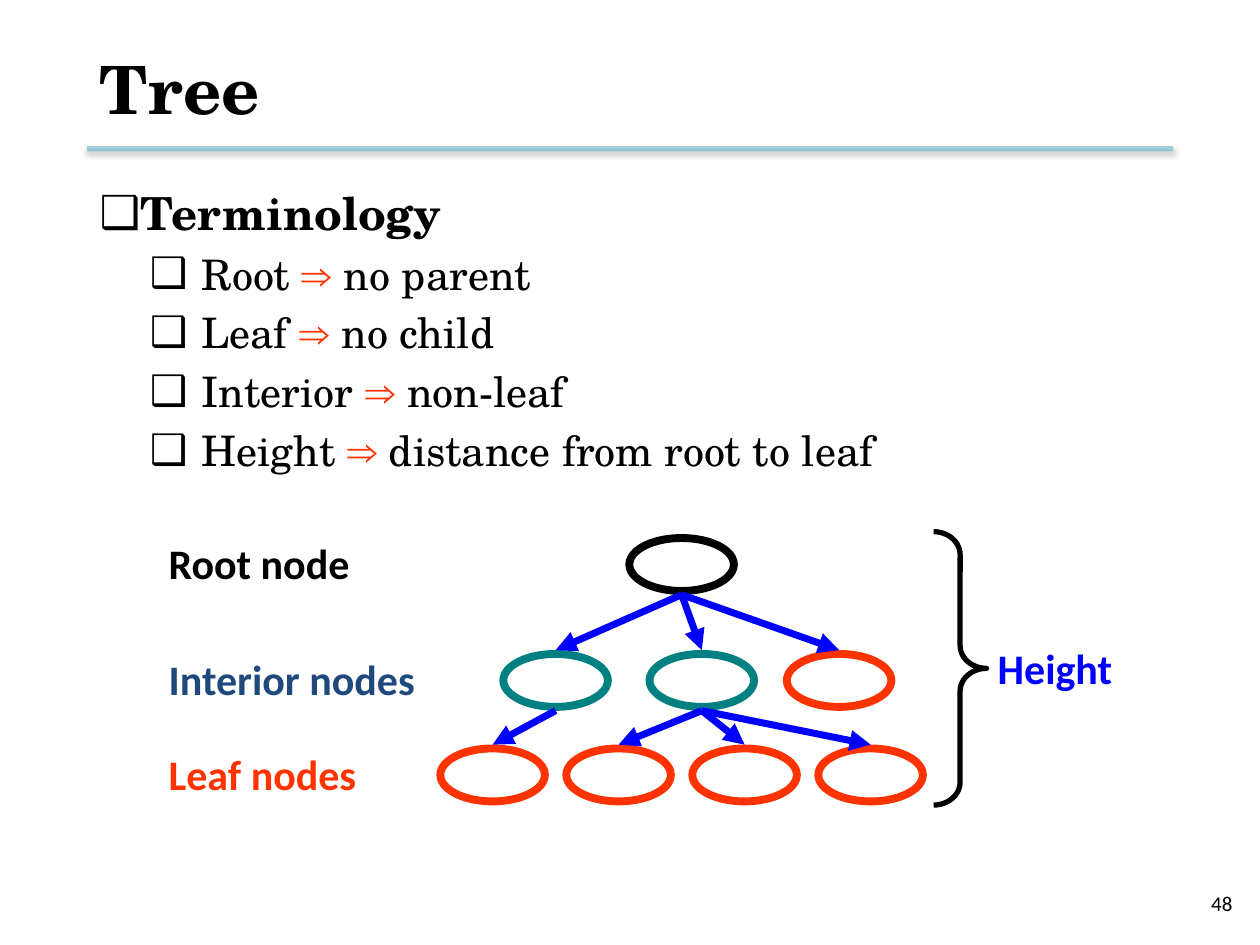
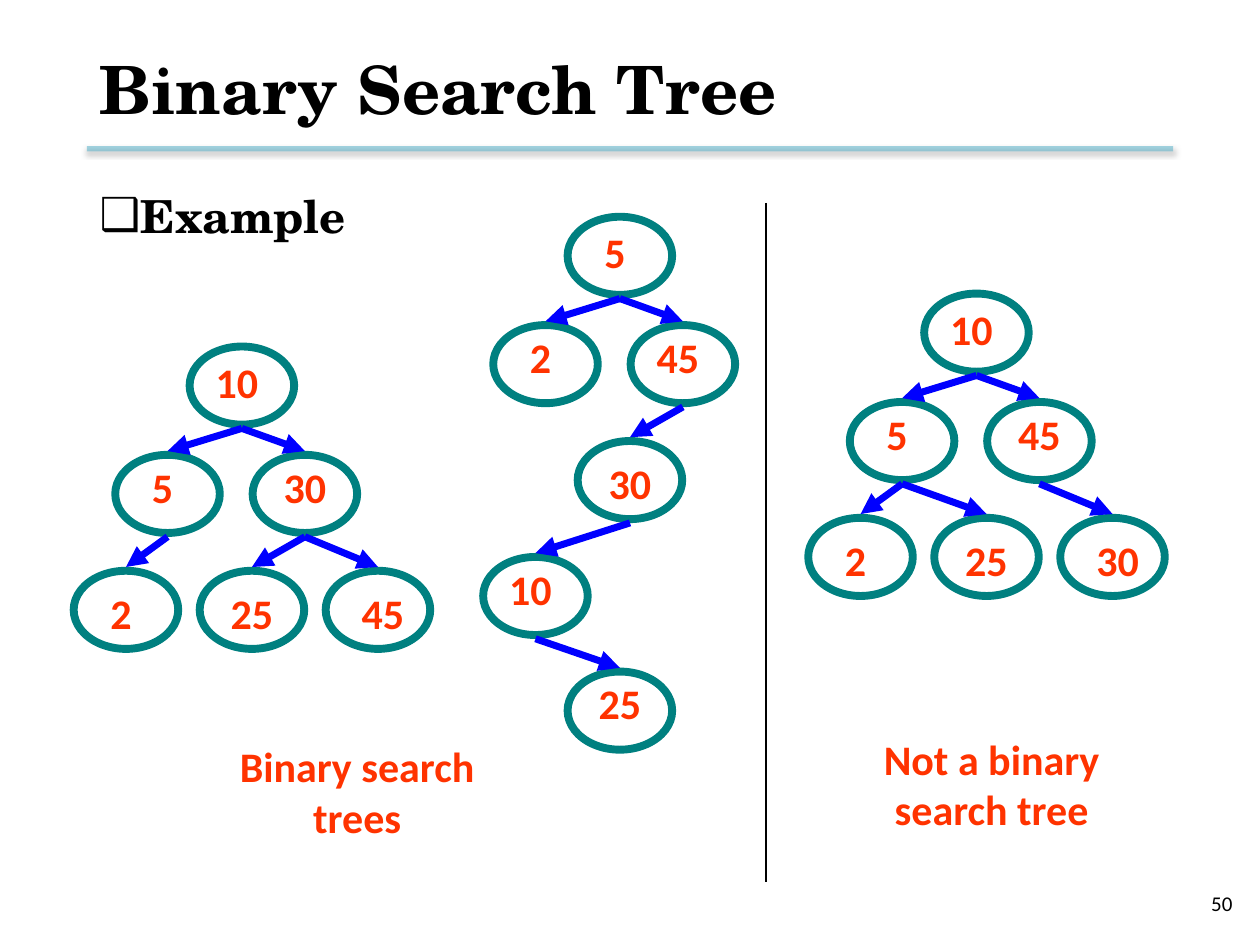
from lxml import etree
from pptx import Presentation
from pptx.dml.color import RGBColor
from pptx.enum.shapes import MSO_CONNECTOR, MSO_SHAPE
from pptx.enum.text import MSO_ANCHOR, MSO_AUTO_SIZE, PP_ALIGN
from pptx.oxml.ns import qn
from pptx.util import Inches, Pt

BLACK = RGBColor(0x00, 0x00, 0x00)
AQUA = RGBColor(0x4B, 0xAC, 0xC6)
TEAL = RGBColor(0x00, 0x80, 0x80)
ORANGE = RGBColor(0xFF, 0x33, 0x00)
BLUE = RGBColor(0x00, 0x00, 0xFF)
NAVY = RGBColor(0x1F, 0x49, 0x7D)

SERIF = "TeX Gyre Schola"
SANS = "Calibri"
LEFT, WIDTH = 0.69, 8.62
NODE_W = 0.83
ARROW_GAP = 0.03

# Node centre x, top, and the offset of its label
THREE_LEVELS = [(1.92, 2.75, -0.04, 0.03),
                (1.33, 3.61, -0.04, 0), (2.42, 3.61, 0, 0),
                (1, 4.53, -0.04, 0.08), (2, 4.53, 0, 0.08), (3, 4.53, 0.04, 0.08)]
ZIGZAG = [(4.92, 1.72, -0.04, 0.03),
          (4.33, 2.58, -0.04, 0), (5.42, 2.58, -0.04, 0),
          (5, 3.5, 0, 0.08), (4.25, 4.42, -0.04, 0), (4.92, 5.33, 0, 0)]


def add_child(parent, tag, **attrs):
    child = etree.SubElement(parent, qn(tag))
    for name, value in attrs.items():
        child.set(name, str(value))
    return child


class Deck:
    def __init__(self):
        self.prs = Presentation()
        self.prs.slide_width, self.prs.slide_height = Inches(10), Inches(7.5)
        self.s = None

    def slide(self, title, number):
        """Start a slide with its rule, number and title."""
        self.s = self.prs.slides.add_slide(self.prs.slide_layouts[1])
        self.rule()
        self.text(str(number), 7.55, 6.97, 2.33, 0.4, BLACK, size=12,
                  bold=False, align=PP_ALIGN.RIGHT, anchor=MSO_ANCHOR.MIDDLE)
        sp = self.s.shapes.title
        self.place(sp, LEFT, 0.17, WIDTH, 1.06)
        tf = sp.text_frame
        tf.vertical_anchor = MSO_ANCHOR.MIDDLE
        tf.auto_size = MSO_AUTO_SIZE.NONE
        p = tf.paragraphs[0]
        p.alignment = PP_ALIGN.LEFT
        self.run(p, title, SERIF, 38, BLACK, True)

    def place(self, sp, x, y, w, h):
        sp.left, sp.top, sp.width, sp.height = map(Inches, (x, y, w, h))

    def run(self, p, text, font, size, color, bold):
        r = p.add_run()
        r.text = text
        r.font.name, r.font.size, r.font.bold = font, Pt(size), bold
        r.font.color.rgb = color

    def bullet(self, p, margin, indent):
        pPr = p._p.get_or_add_pPr()
        pPr.set("marL", str(Inches(margin)))
        pPr.set("indent", str(Inches(indent)))
        add_child(pPr, "a:buChar", char="❑")

    def body(self, y, heading, terms=()):
        """Fill the body with a heading and its (term, meaning) pairs."""
        sp = self.s.placeholders[1]
        self.place(sp, LEFT, y, WIDTH, 4.97)
        tf = sp.text_frame
        tf.auto_size = MSO_AUTO_SIZE.NONE
        p = tf.paragraphs[0]
        self.bullet(p, 0.25, -0.45)
        p.space_before = Pt(0)
        self.run(p, heading, SERIF, 26, BLACK, True)
        for term, meaning in terms:
            p = tf.add_paragraph()
            p.level = 1
            self.bullet(p, 0.81, -0.41)
            for text, color in ((term + " ", BLACK), ("⇒ ", ORANGE), (meaning, BLACK)):
                self.run(p, text, SERIF, 24, color, False)

    def text(self, text, x, y, w, h, color, size=24, bold=True,
             align=PP_ALIGN.LEFT, anchor=MSO_ANCHOR.TOP):
        sp = self.s.shapes.add_textbox(*map(Inches, (x, y, w, h)))
        tf = sp.text_frame
        tf.word_wrap = True
        tf.vertical_anchor = anchor
        p = tf.paragraphs[0]
        p.alignment = align
        self.run(p, text, SANS, size, color, bold)

    def outline(self, kind, x, y, w, h, color, weight):
        sp = self.s.shapes.add_shape(kind, *map(Inches, (x, y, w, h)))
        sp.shadow.inherit = False
        sp.fill.background()
        sp.line.color.rgb = color
        sp.line.width = Pt(weight)
        return sp

    def line(self, x1, y1, x2, y2, color, weight, arrow=False):
        """Draw a line and return it with its empty effect list."""
        c = self.s.shapes.add_connector(
            MSO_CONNECTOR.STRAIGHT, *map(Inches, (x1, y1, x2, y2)))
        c.line.color.rgb = color
        c.line.width = Pt(weight)
        if arrow:
            add_child(c.line._get_or_add_ln(), "a:tailEnd", type="triangle")
        return c, add_child(c._element.spPr, "a:effectLst")

    def rule(self):
        """Draw the half-transparent title rule with its soft shadow."""
        c, effects = self.line(LEFT, 1.18, LEFT + WIDTH, 1.18, AQUA, 3)
        add_child(c._element.spPr.find(".//" + qn("a:srgbClr")), "a:alpha", val=50000)
        shadow = add_child(effects, "a:outerShdw", blurRad=Pt(3.1), dist=Pt(1.6),
                           dir=5400000, rotWithShape=0)
        black = add_child(shadow, "a:srgbClr", val=BLACK)
        add_child(black, "a:alpha", val=38000)

    def tree(self, nodes, edges, node_h):
        """Draw (centre x, top, colour) nodes and arrows between their indices."""
        for cx, top, color in nodes:
            self.outline(MSO_SHAPE.OVAL, cx - NODE_W / 2, top, NODE_W, node_h, color, 4.5)
        for parent, child in edges:
            x1, y1, _ = nodes[parent]
            x2, y2, _ = nodes[child]
            self.line(x1, y1 + node_h + ARROW_GAP, x2, y2 - ARROW_GAP, BLUE, 4, arrow=True)

    def search_tree(self, spots, keys, edges, dx=0, dy=0):
        nodes = [(x + dx, y + dy, TEAL) for x, y, _, _ in spots]
        self.tree(nodes, edges, 0.62)
        for (cx, top, _), (_, _, off_x, off_y), key in zip(nodes, spots, keys):
            w = 0.42 if key < 10 else 0.67
            self.text(str(key), cx + off_x - w / 2, top + off_y, w, 0.5, ORANGE,
                      align=PP_ALIGN.CENTER)


def terminology_slide(deck):
    deck.slide("Tree", 48)
    deck.body(1.42, "Terminology", [
        ("Root", "no parent"), ("Leaf", "no child"), ("Interior", "non-leaf"),
        ("Height", "distance from root to leaf")])
    root, interior, leaf = 4.27, 5.19, 5.94
    nodes = [(5.41, root, BLACK),
             (4.41, interior, TEAL), (5.57, interior, TEAL), (6.66, interior, ORANGE)]
    nodes += [(3.91 + i, leaf, ORANGE) for i in range(4)]
    edges = [(0, 1), (0, 2), (0, 3), (1, 4), (2, 5), (2, 6), (2, 7)]
    deck.tree(nodes, edges, 0.42)
    for label, top, w, color in (("Root node", root, 1.85, BLACK),
                                 ("Interior nodes", interior, 2.42, NAVY),
                                 ("Leaf nodes", leaf, 1.96, ORANGE)):
        deck.text(label, 1.24, top - 0.05, w, 0.5, color)
    brace = deck.outline(MSO_SHAPE.RIGHT_BRACE, 7.41, 4.22, 0.42, 2.17, BLACK, 3)
    brace.adjustments[0] = 0.433
    deck.text("Height", 7.82, 5.05, 1.24, 0.5, BLUE)


def search_tree_slide(deck):
    deck.slide("Binary Search Tree", 50)
    deck.body(1.44, "Example")
    top_edges = [(0, 1), (0, 2)]
    deck.search_tree(THREE_LEVELS, [10, 5, 30, 2, 25, 45],
                     top_edges + [(1, 3), (2, 4), (2, 5)])
    deck.search_tree(THREE_LEVELS, [10, 5, 45, 2, 25, 30],
                     top_edges + [(1, 3), (1, 4), (2, 5)], dx=5.83, dy=-0.42)
    deck.search_tree(ZIGZAG, [5, 2, 45, 30, 10, 25],
                     top_edges + [(2, 3), (3, 4), (4, 5)])
    deck.line(6.08, 1.61, 6.08, 7, BLACK, 1)
    deck.text("Binary search trees", 1.67, 5.83, 2.33, 0.9, ORANGE, align=PP_ALIGN.CENTER)
    deck.text("Not a binary search tree", 6.58, 5.77, 2.58, 0.9, ORANGE,
              align=PP_ALIGN.CENTER)


def main():
    deck = Deck()
    terminology_slide(deck)
    search_tree_slide(deck)
    deck.prs.save("out.pptx")


if __name__ == "__main__":
    main()
